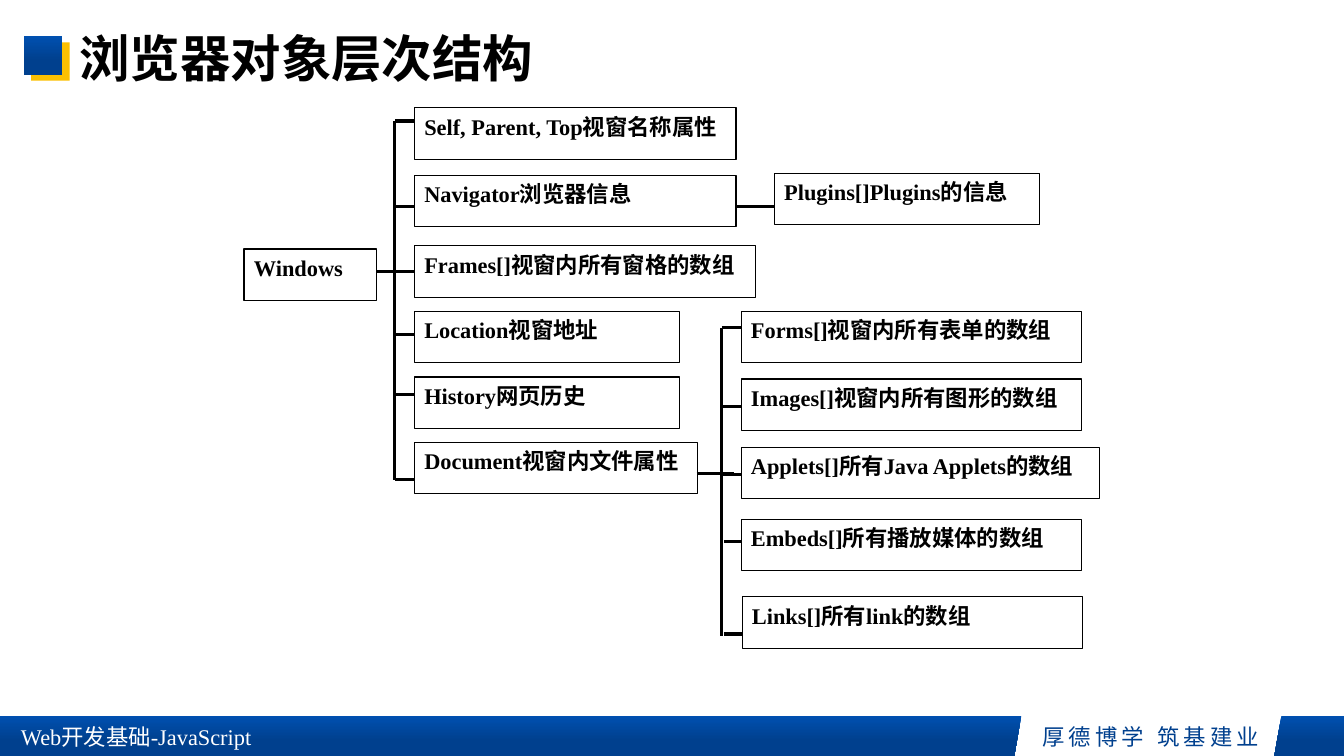
import dataclasses

import lxml.etree
import pptx
import pptx.dml.color
import pptx.enum.shapes
import pptx.enum.text
import pptx.oxml.ns
import pptx.util

Inches = pptx.util.Inches
Align = pptx.enum.text.PP_ALIGN
Anchor = pptx.enum.text.MSO_ANCHOR


@dataclasses.dataclass
class Theme:
    """Colours, fonts and sizes of the slide."""
    black: str = "000000"
    white: str = "FFFFFF"
    blue: str = "00408E"
    bright_blue: str = "0050B0"
    yellow: str = "FBC001"
    latin_font: str = "Times New Roman"
    chinese_font: str = "Noto Sans CJK SC"
    title_size: int = 36
    body_size: int = 16
    border_width: float = 0.75
    branch_width: float = 2.25


def rgb(colour):
    """Return a colour object for a hex string."""
    return pptx.dml.color.RGBColor.from_string(colour)


class SlideBuilder:
    """Draws styled elements on one slide."""

    def __init__(self, slide, theme):
        """Keep the slide and its theme."""
        self.slide = slide
        self.theme = theme

    def label(self, shape, text, colour, size=None, bold=False, align=Align.LEFT, font=None, spacing=None):
        """Set one formatted paragraph in a shape."""
        shape.text_frame.text = text
        paragraph = shape.text_frame.paragraphs[0]
        paragraph.alignment = align
        run = paragraph.runs[0]
        run.font.name = font or self.theme.latin_font
        run.font.size = pptx.util.Pt(size or self.theme.body_size)
        run.font.bold = bold
        run.font.color.rgb = rgb(colour)
        properties = run.font._element
        east_asian = lxml.etree.SubElement(properties, pptx.oxml.ns.qn("a:ea"))
        east_asian.set("typeface", self.theme.chinese_font)
        if spacing:
            properties.set("spc", str(spacing * 100))

    def text(self, left, top, width, height, text, colour, **style):
        """Add a wrapping text box and return it."""
        shape = self.slide.shapes.add_textbox(*map(Inches, (left, top, width, height)))
        shape.text_frame.word_wrap = True
        self.label(shape, text, colour, **style)
        return shape

    def rectangle(self, left, top, width, height, colour):
        """Add a plain rectangle without a border."""
        shape = self.slide.shapes.add_shape(
            pptx.enum.shapes.MSO_SHAPE.RECTANGLE, *map(Inches, (left, top, width, height)))
        shape.shadow.inherit = False
        shape.fill.solid()
        shape.fill.fore_color.rgb = rgb(colour)
        shape.line.fill.background()
        return shape

    def gradient(self, shape):
        """Fill a shape with the blue vertical gradient."""
        shape.fill.gradient()
        shape.fill.gradient_angle = 270
        stops = ((0, self.theme.bright_blue), (0.62, self.theme.blue))
        for stop, (position, colour) in zip(shape.fill.gradient_stops, stops):
            stop.position = position
            stop.color.rgb = rgb(colour)

    def band(self, *outlines):
        """Add one gradient freeform made of several closed outlines."""
        scaled = [[(Inches(x), Inches(y)) for x, y in outline] for outline in outlines]
        builder = self.slide.shapes.build_freeform(*scaled[0][0])
        for index, (start, *points) in enumerate(scaled):
            if index:
                builder.move_to(*start)
            builder.add_line_segments(points, close=True)
        shape = builder.convert_to_shape()
        shape.shadow.inherit = False
        shape.line.fill.background()
        self.gradient(shape)

    def node(self, left, top, width, text):
        """Add a bordered box of the object tree."""
        shape = self.rectangle(left, top, width, 0.51, self.theme.white)
        shape.line.color.rgb = rgb(self.theme.black)
        shape.line.width = pptx.util.Pt(self.theme.border_width)
        shape.text_frame.vertical_anchor = Anchor.TOP
        shape.text_frame.word_wrap = True
        self.label(shape, text, self.theme.black, bold=True, align=Align.JUSTIFY)

    def line(self, x1, y1, x2, y2):
        """Add a straight branch line."""
        connector = self.slide.shapes.add_connector(
            pptx.enum.shapes.MSO_CONNECTOR.STRAIGHT, *map(Inches, (x1, y1, x2, y2)))
        connector.line.color.rgb = rgb(self.theme.black)
        connector.line.width = pptx.util.Pt(self.theme.branch_width)
        lxml.etree.SubElement(connector._element.spPr, pptx.oxml.ns.qn("a:effectLst"))

    def bracket(self, trunk, top, bottom, branches):
        """Add a vertical trunk with horizontal branches."""
        self.line(trunk, top, trunk, bottom)
        for start, end, y in branches:
            self.line(start, y, end, y)


def main():
    """Build and save the slide."""
    presentation = pptx.Presentation()
    presentation.slide_width = Inches(13.33)
    presentation.slide_height = Inches(7.5)
    theme = Theme()
    builder = SlideBuilder(presentation.slides.add_slide(presentation.slide_layouts[6]), theme)

    builder.band([(12.71, 7.1), (13.33, 7.1), (13.33, 7.5), (12.64, 7.5)],
                 [(0, 7.1), (10.13, 7.1), (10.06, 7.5), (0, 7.5)])
    for left, motto in ((9.7, "厚德博学"), (10.84, "筑基建业")):
        builder.text(left, 7.13, 2.29, 0.37, motto, theme.blue,
                     align=Align.CENTER, font=theme.chinese_font, spacing=3)
    builder.text(0.11, 7.13, 2.78, 0.37, "Web开发基础-JavaScript", theme.white)

    builder.rectangle(0.31, 0.42, 0.38, 0.38, theme.yellow)
    builder.gradient(builder.rectangle(0.24, 0.36, 0.38, 0.38, theme.blue))
    title = builder.text(0.69, 0.06, 11.5, 1.1, "浏览器对象层次结构", theme.black,
                         size=theme.title_size, bold=True)
    title.text_frame.vertical_anchor = Anchor.MIDDLE
    title.text_frame.paragraphs[0].line_spacing = 0.9

    window_left, document_left = 4.11, 7.35
    nodes = (
        (2.42, 2.47, 1.31, "Windows"),
        (window_left, 1.07, 3.19, "Self, Parent, Top视窗名称属性"),
        (window_left, 1.74, 3.19, "Navigator浏览器信息"),
        (window_left, 2.44, 3.38, "Frames[]视窗内所有窗格的数组"),
        (window_left, 3.09, 2.63, "Location视窗地址"),
        (window_left, 3.74, 2.63, "History网页历史"),
        (window_left, 4.39, 2.81, "Document视窗内文件属性"),
        (7.68, 1.72, 2.63, "Plugins[]Plugins的信息"),
        (document_left, 3.09, 3.38, "Forms[]视窗内所有表单的数组"),
        (document_left, 3.76, 3.38, "Images[]视窗内所有图形的数组"),
        (document_left, 4.44, 3.56, "Applets[]所有Java Applets的数组"),
        (document_left, 5.15, 3.38, "Embeds[]所有播放媒体的数组"),
        (7.36, 5.92, 3.38, "Links[]所有link的数组"),
    )
    for node in nodes:
        builder.node(*node)

    builder.bracket(3.91, 1.2, 4.76,
                    [(3.92, window_left, y) for y in (1.2, 2.05, 3.32, 3.91, 4.76)])
    builder.bracket(7.16, 3.25, 6.31,
                    [(7.16, document_left, y) for y in (3.25, 4.03, 4.71)]
                    + [(7.18, 7.36, y) for y in (5.37, 6.29)])
    for start, end, y in ((3.73, window_left, 2.69), (7.3, 7.68, 2.05), (6.91, 7.28, 4.7)):
        builder.line(start, y, end, y)

    presentation.save("out.pptx")


if __name__ == "__main__":
    main()
